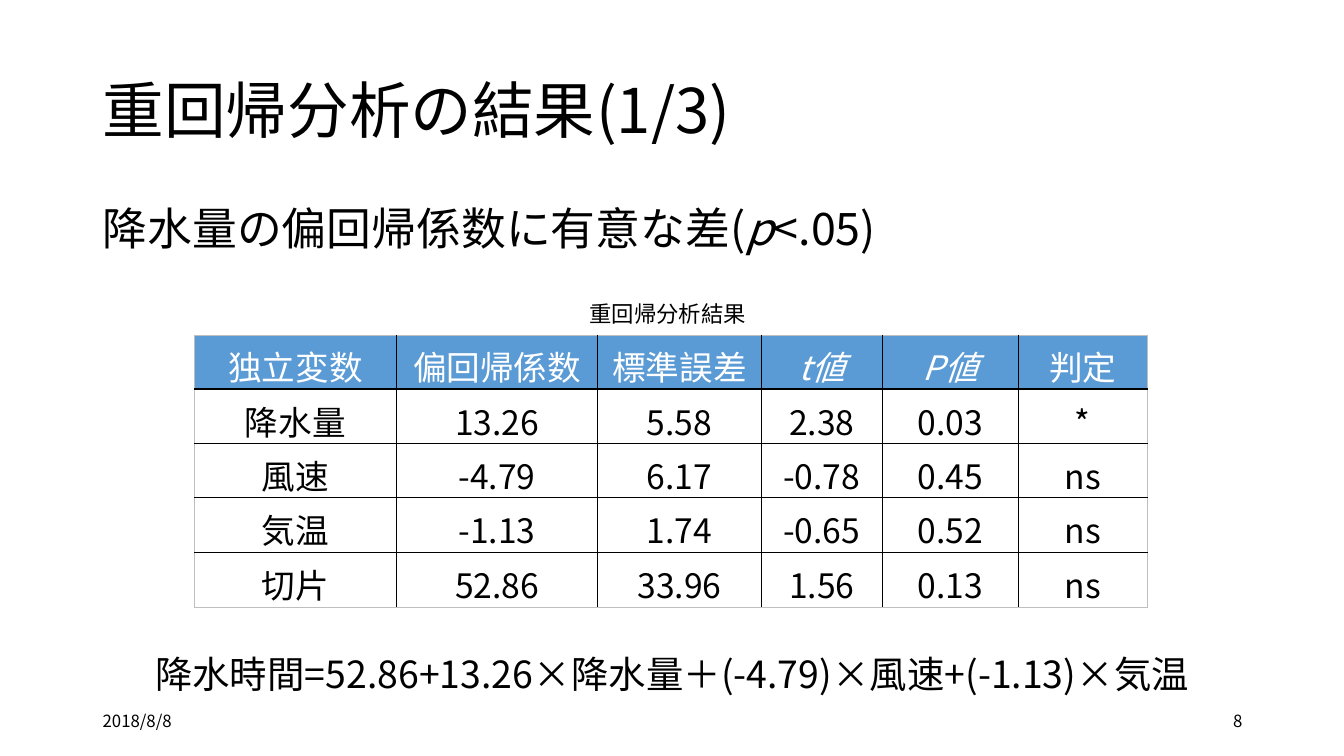
from dataclasses import dataclass

from lxml.etree import SubElement
from pptx import Presentation
from pptx.dml.color import RGBColor
from pptx.enum.text import MSO_ANCHOR, PP_ALIGN
from pptx.oxml.ns import qn
from pptx.slide import Slide
from pptx.table import _Cell
from pptx.text.text import Font, _Paragraph
from pptx.util import Inches, Pt

FONT = "Noto Sans CJK JP"
BLACK, WHITE, HEADER_BLUE, EDGE_GREY = "000000", "FFFFFF", "5B9BD5", "BFBFBF"


@dataclass(frozen=True)
class Label:
    """Words on the slide, split into phrases; those listed in italics slant."""
    left: float
    top: float
    width: float
    height: float
    size: float
    phrases: tuple[str, ...]
    italics: tuple[str, ...] = ()
    align: PP_ALIGN = PP_ALIGN.LEFT
    anchor: MSO_ANCHOR = MSO_ANCHOR.TOP
    wrap: bool = True
    line_spacing: float = 1.0
    space_before: float = 0


LABELS = (
    Label(0.92, 0.4, 11.5, 1.45, 44, ("重回帰分析の結果(1/3)",),
          anchor=MSO_ANCHOR.MIDDLE, line_spacing=0.9),
    Label(0.92, 2, 11.5, 4.76, 32, ("降水量の偏回帰係数に有意な差(", "p", "<.05)"),
          italics=("p",), line_spacing=0.9, space_before=10),
    Label(5.75, 2.93, 1.77, 0.37, 16, ("重回帰分析結果",), wrap=False),
    Label(1.04, 6.41, 11.25, 0.55, 26.7,
          ("降水時間=52.86+13.26×降水量＋(-4.79)×風速+(-1.13)×気温",),
          align=PP_ALIGN.CENTER, wrap=False),
    Label(0.92, 6.95, 3, 0.4, 12, ("2018/8/8",), anchor=MSO_ANCHOR.MIDDLE),
    Label(9.42, 6.95, 3, 0.4, 12, ("8",), align=PP_ALIGN.RIGHT,
          anchor=MSO_ANCHOR.MIDDLE),
)

COLUMN_WIDTHS = (2, 2, 1.62, 1.2, 1.35, 1.28)
ROW_HEIGHT = 0.53
ITALIC_HEADINGS = ("t値", "P値")
REGRESSION = (
    ("独立変数", "偏回帰係数", "標準誤差", "t値", "P値", "判定"),
    ("降水量", "13.26", "5.58", "2.38", "0.03", "*"),
    ("風速", "-4.79", "6.17", "-0.78", "0.45", "ns"),
    ("気温", "-1.13", "1.74", "-0.65", "0.52", "ns"),
    ("切片", "52.86", "33.96", "1.56", "0.13", "ns"),
)


def rgb(color: str) -> RGBColor:
    return RGBColor.from_string(color)


def style_font(font: Font, size: float, color: str) -> None:
    font.size = Pt(size)
    font.bold = False
    font.color.rgb = rgb(color)
    font.name = FONT
    SubElement(font._rPr, qn("a:ea"), typeface=FONT)


def write(paragraph: _Paragraph, phrases: tuple[str, ...], italics: tuple[str, ...],
          size: float, color: str, align: PP_ALIGN) -> None:
    paragraph.alignment = align
    style_font(paragraph.font, size, color)
    for phrase in phrases:
        run = paragraph.add_run()
        run.text = phrase
        if phrase in italics:
            run.font.italic = True


def add_label(slide: Slide, label: Label) -> None:
    box = slide.shapes.add_textbox(Inches(label.left), Inches(label.top),
                                   Inches(label.width), Inches(label.height))
    frame = box.text_frame
    frame.word_wrap = label.wrap
    frame.vertical_anchor = label.anchor
    paragraph = frame.paragraphs[0]
    paragraph.line_spacing = label.line_spacing
    paragraph.space_before = Pt(label.space_before)
    write(paragraph, label.phrases, label.italics, label.size, BLACK, label.align)


def set_borders(cell: _Cell, outer_sides: dict[str, bool]) -> None:
    """Rule the inner sides in black and the table's outer edge in thin grey."""
    properties = cell._tc.get_or_add_tcPr()
    for position, (side, is_outer) in enumerate(outer_sides.items()):
        width = Pt(0.25) if is_outer else Pt(1)
        line = properties.makeelement(qn(f"a:{side}"), {"w": str(int(width))})
        fill = SubElement(line, qn("a:solidFill"))
        SubElement(fill, qn("a:srgbClr"), val=EDGE_GREY if is_outer else BLACK)
        properties.insert(position, line)


def add_regression_table(slide: Slide) -> None:
    row_count, column_count = len(REGRESSION), len(COLUMN_WIDTHS)
    table = slide.shapes.add_table(
        row_count, column_count, Inches(1.93), Inches(3.32),
        Inches(sum(COLUMN_WIDTHS)), Inches(ROW_HEIGHT * row_count)).table
    table.first_row = table.horz_banding = False
    for column, width in zip(table.columns, COLUMN_WIDTHS):
        column.width = Inches(width)
    for row, values in enumerate(REGRESSION):
        table.rows[row].height = Inches(ROW_HEIGHT)
        for column, value in enumerate(values):
            cell = table.cell(row, column)
            cell.margin_left = cell.margin_right = Inches(0.13)
            cell.margin_top = cell.margin_bottom = Inches(0.07)
            if row == 0:
                cell.fill.solid()
                cell.fill.fore_color.rgb = rgb(HEADER_BLUE)
            else:
                cell.fill.background()
            write(cell.text_frame.paragraphs[0], (value,), ITALIC_HEADINGS, 24,
                  WHITE if row == 0 else BLACK, PP_ALIGN.CENTER)
            set_borders(cell, {"lnL": column == 0, "lnR": column == column_count - 1,
                               "lnT": row == 0, "lnB": row == row_count - 1})


def main() -> None:
    presentation = Presentation()
    presentation.slide_width = Inches(13.33)
    presentation.slide_height = Inches(7.5)
    slide = presentation.slides.add_slide(presentation.slide_layouts[6])
    for label in LABELS:
        add_label(slide, label)
    add_regression_table(slide)
    presentation.save("out.pptx")


if __name__ == "__main__":
    main()
